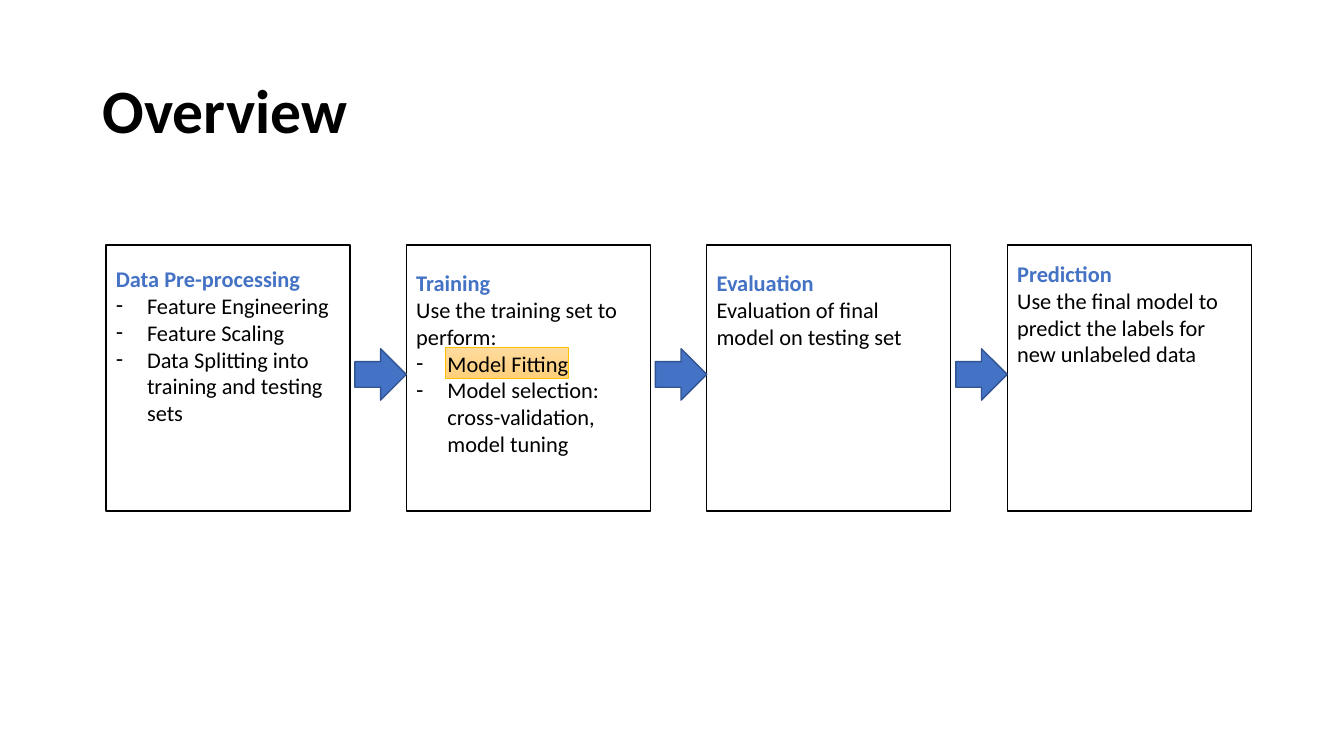
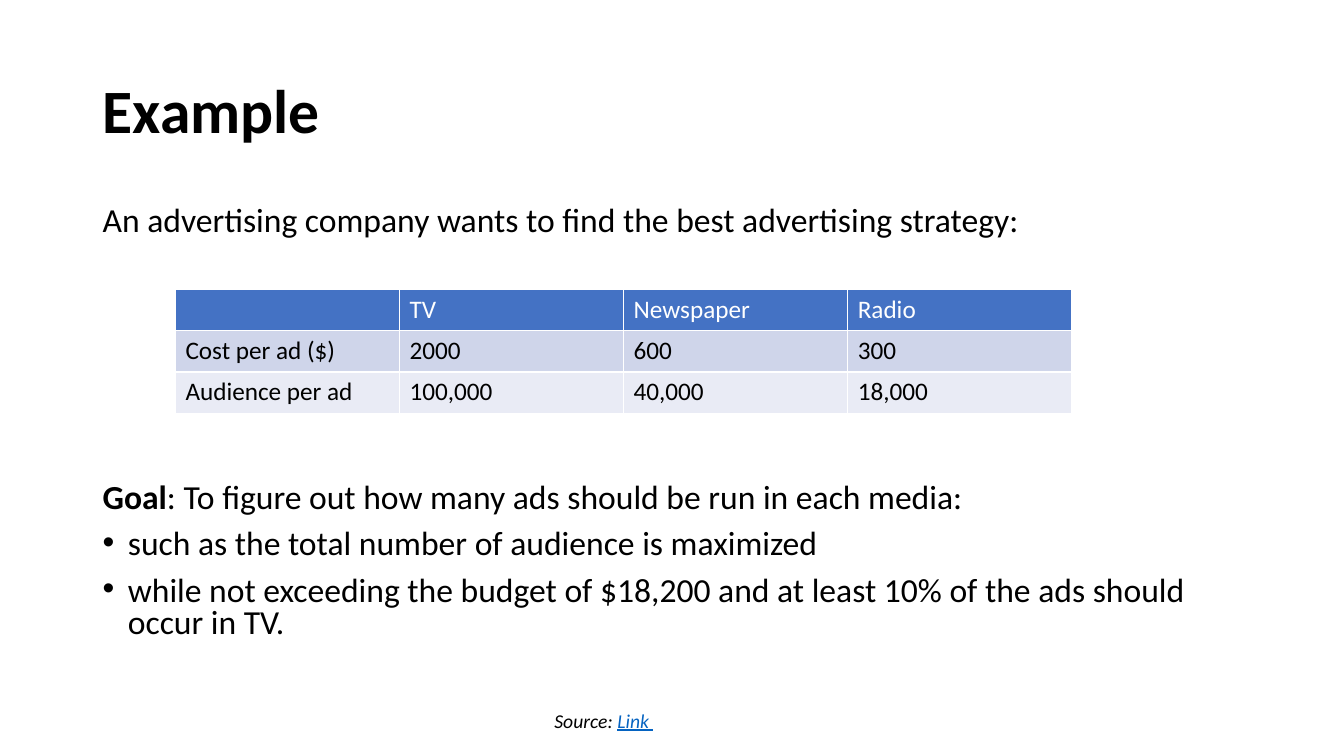
from pptx import Presentation
from pptx.dml.color import RGBColor
from pptx.enum import shapes, text
from pptx.oxml import parse_xml
from pptx.oxml.ns import nsdecls
from pptx.util import Inches, Pt

FONT = "Calibri"
BLACK, WHITE, BLUE, LINK = "000000", "FFFFFF", "4472C4", "0563C1"
ARROW_EDGE, GOLD = "325491", "FFC000"
ROW_FILLS = [BLUE, "CFD5EA", "E9EBF5"]
MARGIN, CONTENT_WIDTH = 0.92, 11.5

CARD_WIDTH, CARD_HEIGHT, CARD_PITCH = 2.42, 2.64, 2.98
ARROW_SIZE = 0.51
# Each card: heading, text, dash items, distance from card top to text
CARDS = [
    ("Data Pre-processing", None,
     ["Feature Engineering", "Feature Scaling",
      "Data Splitting into training and testing sets"], 0.2),
    ("Training", "Use the training set to perform:",
     ["Model Fitting", "Model selection: cross-validation, model tuning"], 0.24),
    ("Evaluation", "Evaluation of final model on testing set", [], 0.24),
    ("Prediction", "Use the final model to predict the labels for new unlabeled data",
     [], 0.15),
]
HIGHLIGHTED_CARD = 1

AD_ROWS = [
    ["", "TV", "Newspaper", "Radio"],
    ["Cost per ad ($)", "2000", "600", "300"],
    ["Audience per ad", "100,000", "40,000", "18,000"],
]


def color(value):
    return RGBColor.from_string(value)


def set_bullet(paragraph, mark, indent):
    properties = paragraph._p.get_or_add_pPr()
    properties.set("marL", str(Inches(indent)))
    properties.set("indent", str(-Inches(indent)))
    properties.append(parse_xml(f'<a:buFont {nsdecls("a")} typeface="Arial"/>'))
    properties.append(parse_xml(f'<a:buChar {nsdecls("a")} char="{mark}"/>'))


def write(frame, *runs, size=16, ink=BLACK, bold=False, italic=False, bullet=None,
          indent=0.31, align=text.PP_ALIGN.LEFT, spacing=None, before=0):
    """Add a paragraph; a run is a string or a (string, font changes) pair."""
    paragraph = frame.paragraphs[0]
    if paragraph.runs:
        paragraph = frame.add_paragraph()
        paragraph.space_before = Pt(before)
    paragraph.alignment = align
    if spacing:
        paragraph.line_spacing = spacing
    if bullet:
        set_bullet(paragraph, bullet, indent)
    for item in runs:
        content, changes = (item, {}) if isinstance(item, str) else item
        run = paragraph.add_run()
        run.text = content
        font = run.font
        font.name, font.size = FONT, Pt(size)
        font.bold = changes.get("bold", bold)
        font.italic = italic
        font.underline = changes.get("underline")
        font.color.rgb = color(changes.get("ink", ink))


def add_text_box(slide, left, top, width, height, anchor=text.MSO_ANCHOR.TOP):
    box = slide.shapes.add_textbox(*map(Inches, (left, top, width, height)))
    frame = box.text_frame
    frame.word_wrap = True
    frame.vertical_anchor = anchor
    return frame


def add_box(slide, kind, left, top, width, height, fill, line, line_width=1):
    shape = slide.shapes.add_shape(kind, *map(Inches, (left, top, width, height)))
    shape.shadow.inherit = False
    if fill:
        shape.fill.solid()
        shape.fill.fore_color.rgb = color(fill)
    else:
        shape.fill.background()
    shape.line.color.rgb = color(line)
    shape.line.width = Pt(line_width)
    return shape


def add_titled_slide(presentation, title):
    slide = presentation.slides.add_slide(presentation.slide_layouts[6])
    frame = add_text_box(slide, MARGIN, 0.4, CONTENT_WIDTH, 1.45, text.MSO_ANCHOR.MIDDLE)
    write(frame, title, size=44, bold=True, spacing=0.9)
    return slide


def add_highlight(slide, left, top):
    """Place the golden marker that lies under one dash item."""
    marker = add_box(slide, shapes.MSO_SHAPE.RECTANGLE, left, top, 1.22, 0.3,
                     None, GOLD, 0.5)
    marker.fill.gradient()
    marker.fill.gradient_angle = 270
    for stop, tint in zip(marker.fill.gradient_stops, ("FFDB9E", "FFD07C")):
        stop.color.rgb = color(tint)


def add_card(slide, left, top, card, highlighted):
    heading, body, items, inset = card
    if highlighted:
        add_highlight(slide, left + 0.39, top + 1.02)
    shape = add_box(slide, shapes.MSO_SHAPE.RECTANGLE, left, top, CARD_WIDTH, CARD_HEIGHT,
                    None if highlighted else WHITE, BLACK)
    frame = shape.text_frame
    frame.word_wrap = True
    frame.vertical_anchor = text.MSO_ANCHOR.TOP
    frame.margin_top = Inches(inset)
    write(frame, heading, ink=BLUE, bold=True)
    if body:
        write(frame, body)
    for item in items:
        write(frame, item, bullet="-")


def add_process(slide, left, top):
    for index, card in enumerate(CARDS):
        card_left = left + index * CARD_PITCH
        add_card(slide, card_left, top, card, index == HIGHLIGHTED_CARD)
        if index:
            add_box(slide, shapes.MSO_SHAPE.RIGHT_ARROW, card_left - ARROW_SIZE, top + 1.03,
                    ARROW_SIZE, ARROW_SIZE, BLUE, ARROW_EDGE)


def add_ad_table(slide, left, top, width, row_height):
    height = row_height * len(AD_ROWS)
    frame = slide.shapes.add_table(len(AD_ROWS), len(AD_ROWS[0]),
                                   *map(Inches, (left, top, width, height)))
    for row_index, (values, fill) in enumerate(zip(AD_ROWS, ROW_FILLS)):
        for column_index, value in enumerate(values):
            cell = frame.table.cell(row_index, column_index)
            cell.fill.solid()
            cell.fill.fore_color.rgb = color(fill)
            if value:
                write(cell.text_frame, value, size=18, ink=BLACK if row_index else WHITE)


def add_goal(slide, left, top, width, height):
    frame = add_text_box(slide, left, top, width, height)
    style = dict(size=24, spacing=0.8, before=10)
    write(frame, ("Goal", {"bold": True}),
          ": To figure out how many ads should be run in each media:", **style)
    for item in ("such as the total number of audience is maximized",
                 "while not exceeding the budget of $18,200 and at least 10% of the ads "
                 "should occur in TV."):
        write(frame, item, bullet="•", indent=0.25, **style)


def build_overview(presentation):
    slide = add_titled_slide(presentation, "Overview")
    add_process(slide, 1.05, 2.43)


def build_example(presentation):
    slide = add_titled_slide(presentation, "Example")
    intro = add_text_box(slide, MARGIN, 2, CONTENT_WIDTH, 0.5)
    write(intro, "An advertising company wants to find the best advertising strategy:",
          size=24, spacing=0.8)
    add_ad_table(slide, 1.74, 2.87, 8.89, 0.41)
    add_goal(slide, MARGIN, 4.75, CONTENT_WIDTH, 2)
    source = add_text_box(slide, 4, 6.98, 3.98, 0.34)
    write(source, "Source: ", ("Link ", {"ink": LINK, "underline": True}),
          size=14, italic=True, align=text.PP_ALIGN.CENTER)


def main():
    presentation = Presentation()
    presentation.slide_width, presentation.slide_height = Inches(13.33), Inches(7.5)
    build_overview(presentation)
    build_example(presentation)
    presentation.save("out.pptx")


if __name__ == "__main__":
    main()
